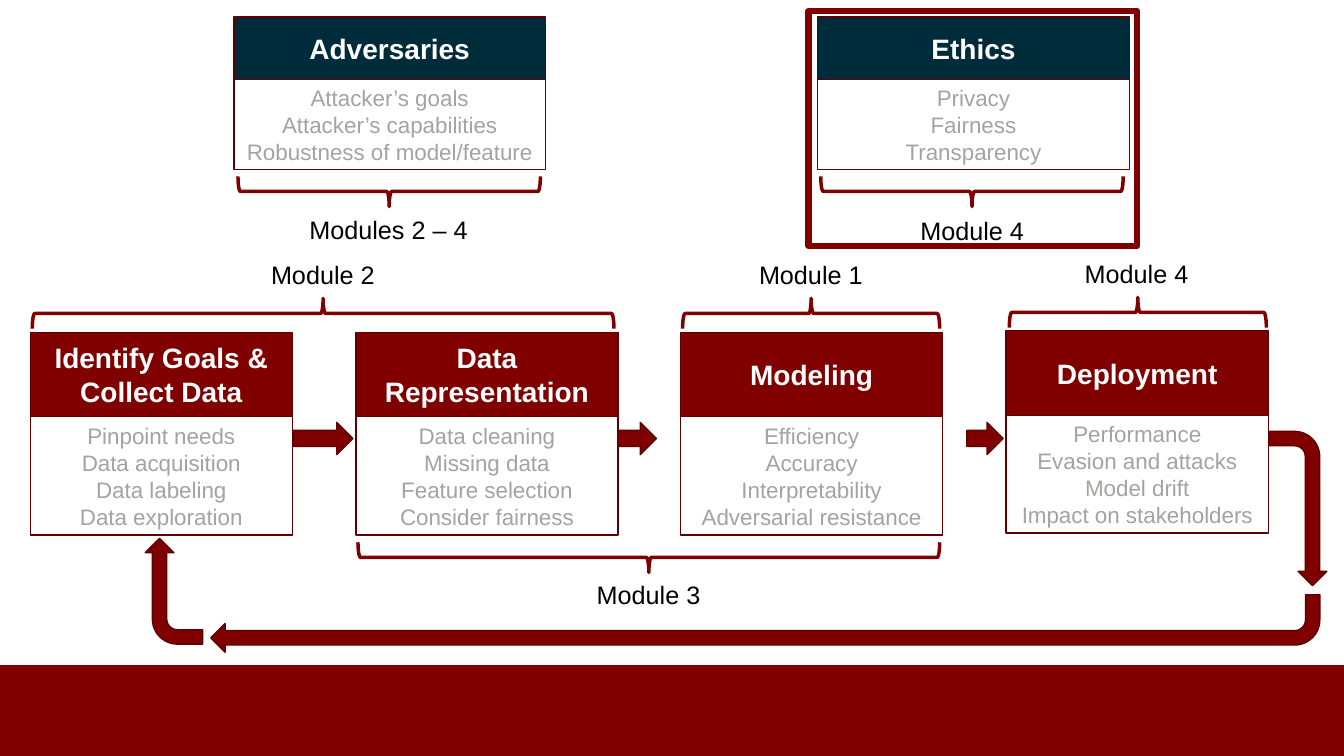
from dataclasses import dataclass

from lxml.etree import SubElement
from pptx import Presentation
from pptx.dml.color import RGBColor
from pptx.enum.shapes import MSO_SHAPE as Preset
from pptx.enum.text import MSO_ANCHOR as Anchor, MSO_AUTO_SIZE as AutoSize, PP_ALIGN as Align
from pptx.shapes.autoshape import Shape
from pptx.util import Emu, Pt

PX = 9144  # 100 px to the inch
FONT = "Arial"
COLORS = {
    "maroon": "800000",
    "edge": "5F0000",
    "navy": "002B3B",
    "white": "FFFFFF",
    "grey": "A1A4A1",
    "black": "000000",
}


@dataclass
class Card:
    x: int
    y: int
    w: int
    head_h: int
    body_h: int
    color: str
    title: str
    items: list[str]


@dataclass
class Brace:
    x: int
    y: int
    span: int
    rotation: int
    label: str
    label_x: int
    label_y: int
    label_w: int = 124


@dataclass
class Arrow:
    preset: Preset
    x: int
    y: int
    w: int
    h: int
    rotation: int = 0


def stage_x(i: int) -> int:
    return round(30 + i * 322.6)


TOPIC = dict(y=17, w=309, head_h=62, body_h=89, color="navy")
STAGE = dict(y=330, w=260, head_h=83, body_h=118, color="maroon")
DEPLOY = dict(y=328, w=260, head_h=84, body_h=117, color="maroon")
CARDS = [
    Card(x=232, title="Adversaries", **TOPIC,
         items=["Attacker’s goals", "Attacker’s capabilities", "Robustness of model/feature"]),
    Card(x=811, title="Ethics", **TOPIC, items=["Privacy", "Fairness", "Transparency"]),
    Card(x=stage_x(0), title="Identify Goals & Collect Data", **STAGE,
         items=["Pinpoint needs", "Data acquisition", "Data labeling", "Data exploration"]),
    Card(x=stage_x(1), title="Data Representation", **STAGE,
         items=["Data cleaning", "Missing data", "Feature selection", "Consider fairness"]),
    Card(x=stage_x(2), title="Modeling", **STAGE,
         items=["Efficiency", "Accuracy", "Interpretability", "Adversarial resistance"]),
    Card(x=stage_x(3), title="Deployment", **DEPLOY,
         items=["Performance", "Evasion and attacks", "Model drift", "Impact on stakeholders"]),
]
BRACES = [
    Brace(236, 175, 300, 90, "Modules 2 – 4", 297, 208, 179),
    Brace(814, 175, 300, 90, "Module 4", 903, 209),
    Brace(355, 538, 577, 90, "Module 3", 582, 570),
    Brace(32, 296, 577, 270, "Module 2", 259, 252),
    Brace(677, 296, 255, 270, "Module 1", 743, 252),
    Brace(1001, 295, 255, 270, "Module 4", 1066, 251),
]
ARROWS = [
    Arrow(Preset.RIGHT_ARROW, 291, 419, 59, 32),
    Arrow(Preset.RIGHT_ARROW, 613, 419, 38, 32),
    Arrow(Preset.RIGHT_ARROW, 959, 419, 36, 32),
    Arrow(Preset.BENT_ARROW, 1259, 428, 57, 153, 90),
    Arrow(Preset.BENT_ARROW, 209, 590, 1100, 57, 180),
    Arrow(Preset.BENT_ARROW, 144, 534, 57, 105, 270),
]


def rgb(name: str) -> RGBColor:
    return RGBColor.from_string(COLORS[name])


def add_preset(shapes, preset: Preset, x: int, y: int, w: int, h: int, fill: str | None = None,
               line: str | None = "edge", weight: float = 1, rotation: int = 0) -> Shape:
    """Add a preset whose box, as seen after rotation, is x, y, w, h."""
    if rotation % 180:
        x, y, w, h = x + (w - h) / 2, y + (h - w) / 2, h, w
    sp = shapes.add_shape(preset, *(Emu(round(v * PX)) for v in (x, y, w, h)))
    sp.rotation = rotation
    sp.shadow.inherit = False
    if fill:
        sp.fill.solid()
        sp.fill.fore_color.rgb = rgb(fill)
    else:
        sp.fill.background()
    if line:
        sp.line.color.rgb = rgb(line)
        sp.line.width = Pt(weight)
    else:
        sp.line.fill.background()
    return sp


def write(sp: Shape, lines: list[str], size: int, color: str, bold: bool = False,
          align: Align = Align.CENTER) -> None:
    tf = sp.text_frame
    for i, line in enumerate(lines):
        p = tf.paragraphs[0] if i == 0 else tf.add_paragraph()
        p.alignment = align
        r = p.add_run()
        r.text = line
        r.font.name = FONT
        r.font.size = Pt(size)
        r.font.bold = bold
        r.font.color.rgb = rgb(color)


def add_card(shapes, card: Card) -> None:
    group = shapes.add_group_shape().shapes
    head = add_preset(group, Preset.RECTANGLE, card.x, card.y, card.w, card.head_h, card.color)
    body = add_preset(group, Preset.RECTANGLE, card.x, card.y + card.head_h,
                      card.w, card.body_h, "white")
    for sp in (head, body):
        sp.text_frame.word_wrap = True
        sp.text_frame.vertical_anchor = Anchor.MIDDLE
    write(head, [card.title], 20, "white", bold=True)
    write(body, card.items, 16, "grey")


def add_brace(shapes, brace: Brace) -> None:
    add_preset(shapes, Preset.RIGHT_BRACE, brace.x, brace.y, brace.span, 30,
               line="maroon", weight=2.5, rotation=brace.rotation)
    box = (brace.label_x, brace.label_y, brace.label_w, 40)
    label = shapes.add_textbox(*(Emu(v * PX) for v in box))
    label.text_frame.word_wrap = False
    label.text_frame.auto_size = AutoSize.SHAPE_TO_FIT_TEXT
    write(label, [brace.label], 18, "black", align=Align.LEFT)


def main() -> None:
    prs = Presentation()
    prs.slide_width, prs.slide_height = Emu(1333 * PX), Emu(750 * PX)
    s = prs.slides.add_slide(prs.slide_layouts[6])
    shapes = s.shapes
    add_preset(shapes, Preset.RECTANGLE, 0, 660, 1333, 90, "maroon", line=None)
    for card in CARDS:
        add_card(shapes, card)
    for a in ARROWS:
        add_preset(shapes, a.preset, a.x, a.y, a.w, a.h, "maroon", rotation=a.rotation)
    for brace in BRACES:
        add_brace(shapes, brace)
    add_preset(shapes, Preset.RECTANGLE, 802, 11, 326, 233, line="maroon", weight=4.5)
    prs.save("out.pptx")


if __name__ == "__main__":
    main()
